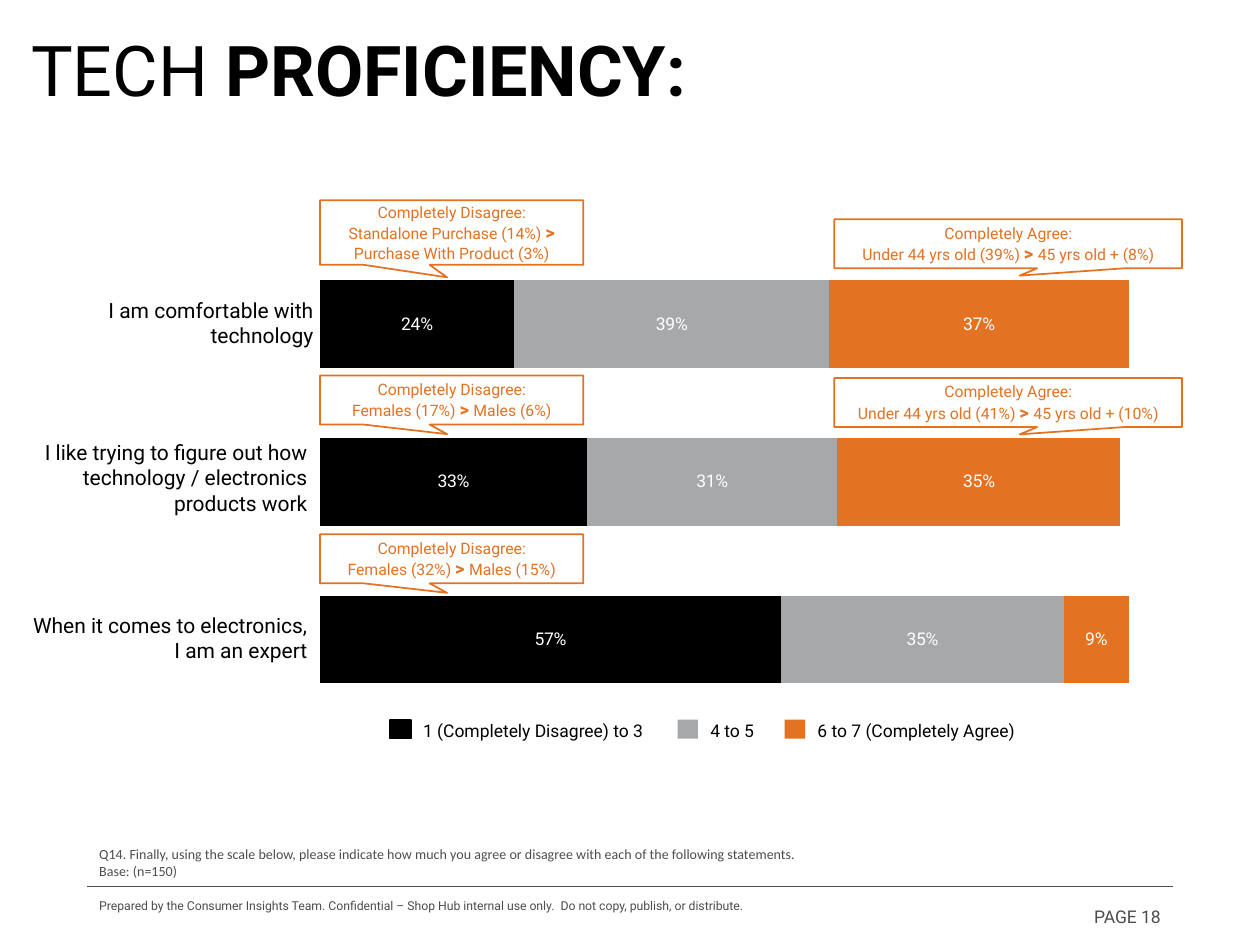
import pptx
import pptx.chart.data
import pptx.dml.color
import pptx.enum.chart
import pptx.enum.shapes
import pptx.enum.text
import pptx.oxml
import pptx.oxml.ns
import pptx.util
from lxml import etree

Cm = pptx.util.Cm
Pt = pptx.util.Pt
ALIGN = pptx.enum.text.PP_ALIGN
ANCHOR = pptx.enum.text.MSO_ANCHOR
SHAPE = pptx.enum.shapes.MSO_SHAPE
BLACK, GRAY, ORANGE, SLATE, WHITE = "000000", "A7A8AA", "E37222", "4D4D4F", "FFFFFF"


def color(fmt, value):
    """Give a fill, line fill or font colour a solid hex value."""
    if hasattr(fmt, "solid"):
        fmt.solid()
        fmt.fore_color.rgb = pptx.dml.color.RGBColor.from_string(value)
    else:
        fmt.color.rgb = pptx.dml.color.RGBColor.from_string(value)


def cm(*lengths):
    """Turn numbers into centimetre lengths."""
    return [Cm(n) for n in lengths]


def set_attrs(obj, values):
    """Set each named attribute of an object."""
    for name, value in values.items():
        setattr(obj, name, value)


def write(tf, paras, size, value, font="Roboto", align=ALIGN.LEFT, anchor=ANCHOR.TOP):
    """Fill a text frame; a paragraph is a list of (text, format) runs."""
    set_attrs(tf, {"word_wrap": True, "vertical_anchor": anchor})
    for i, runs in enumerate(paras):
        p = tf.add_paragraph() if i else tf.paragraphs[0]
        p.alignment = align
        for text, fmt in runs:
            r = p.add_run()
            r.text = text
            set_attrs(r.font, {"name": font, "size": Pt(size), "bold": False, **fmt})
            color(r.font, value)


def add_text(slide, box, paras, size, value=BLACK, **kw):
    """Add a text box."""
    tf = slide.shapes.add_textbox(*cm(*box)).text_frame
    write(tf, paras, size, value, **kw)
    return tf


def add_title(slide, box):
    """Add the two-weight heading."""
    runs = [("TECH", {}), (" PROFICIENCY:", {"bold": True})]
    tf = add_text(slide, box, [runs], 40, anchor=ANCHOR.MIDDLE)
    tf.paragraphs[0].line_spacing = 0.9


def add_footer(slide, box):
    """Add the question note, the rule, the credit line and the page number."""
    x, y, w, h = box
    rule = y + 0.94
    cxn = slide.shapes.add_connector(
        pptx.enum.shapes.MSO_CONNECTOR.STRAIGHT, *cm(x, rule, x + w, rule))
    color(cxn.line.fill, SLATE)
    cxn.line.width = Pt(0.5)
    etree.SubElement(cxn._element.spPr, pptx.oxml.ns.qn("a:effectLst"))
    note = ["Q14. Finally, using the scale below, please indicate how much you agree "
            "or disagree with each of the following statements.", "Base: (n=150)"]
    add_text(slide, (x, y, w, 0.94), [[(t, {})] for t in note], 8, SLATE, font="Calibri")
    credit = ("Prepared by the Consumer Insights Team. Confidential – Shop Hub internal "
              "use only.  Do not copy, publish, or distribute.")
    add_text(slide, (x, rule, 16.2, 0.81), [[(credit, {})]], 7, SLATE, anchor=ANCHOR.MIDDLE)
    add_text(slide, (x + 16.18, rule + 0.22, w - 16.18, 0.81), [[("PAGE 18", {})]], 10,
             SLATE, align=ALIGN.RIGHT, anchor=ANCHOR.MIDDLE)


def add_bars(slide, box):
    """Add the stacked bar chart of the three statements."""
    data = pptx.chart.data.CategoryChartData(number_format="0%")
    data.categories = ["1", "2", "3"]
    rows = [(0.24, 0.33, 0.57), (0.39, 0.31, 0.35), (0.37, 0.35, 0.09)]
    for i, row in enumerate(rows, 1):
        data.add_series(f"Series {i}", row)
    chart = slide.shapes.add_chart(
        pptx.enum.chart.XL_CHART_TYPE.BAR_STACKED, *cm(*box), data).chart
    set_attrs(chart, {"has_legend": False, "has_title": False})
    set_attrs(chart.font, {"name": "Calibri", "size": Pt(10)})
    color(chart.font, BLACK)
    set_attrs(chart.category_axis, {"visible": False, "reverse_order": True})
    set_attrs(chart.value_axis, {"visible": False, "has_major_gridlines": False,
                                 "minimum_scale": 0, "maximum_scale": 1})
    plot = chart.plots[0]
    set_attrs(plot, {"gap_width": 80, "overlap": 100, "vary_by_categories": False})
    for series, value in zip(plot.series, (BLACK, GRAY, ORANGE)):
        color(series.format.fill, value)
        labels = series.data_labels
        set_attrs(labels, {"show_value": True, "number_format": "0%",
                           "number_format_is_linked": False})
        set_attrs(labels.font, {"name": "Roboto", "size": Pt(10)})
        color(labels.font, WHITE)
    place_plot(chart, {"x": 0.123, "y": 0.051, "w": 0.849, "h": 0.925})


def place_plot(chart, fractions):
    """Fix the inner plot area as fractions of the chart."""
    area = chart._chartSpace.chart.plotArea
    for old in area.findall(pptx.oxml.ns.qn("c:layout")):
        area.remove(old)
    parts = [("layoutTarget", "inner"), ("xMode", "edge"), ("yMode", "edge"),
             *fractions.items()]
    body = "".join(f'<c:{tag} val="{val}"/>' for tag, val in parts)
    area.insert(0, pptx.oxml.parse_xml(
        f'<c:layout {pptx.oxml.ns.nsdecls("c")}><c:manualLayout>{body}'
        '</c:manualLayout></c:layout>'))


def add_statements(slide, box):
    """Add the right-aligned statement beside each bar."""
    x, y, w, h = box
    rows = [(0, 0.12, 1.27, "I am comfortable with technology"),
            (2.87, 0, 1.8, "I like trying to figure out how technology / electronics products work"),
            (6.35, 0, 1.27, "When it comes to electronics, I am an expert")]
    for top, extra, height, text in rows:
        add_text(slide, (x, y + top, w + extra, height), [[(text, {})]], 12,
                 align=ALIGN.RIGHT)


def add_legend(slide, box):
    """Add the colour key under the bars."""
    x, y, w, h = box
    keys = [(0, BLACK, 6.12, "1 (Completely Disagree) to 3"), (5.79, GRAY, 2.03, "4 to 5"),
            (7.95, ORANGE, 5.69, "6 to 7 (Completely Agree)")]
    for left, value, width, text in keys:
        sp = slide.shapes.add_shape(SHAPE.RECTANGLE, *cm(x + left, y + 0.13, 0.41, 0.38))
        sp.shadow.inherit = False
        color(sp.fill, value)
        if value == BLACK:
            color(sp.line.fill, value)
            sp.line.width = Pt(1)
        else:
            sp.line.fill.background()
        add_text(slide, (x + left + 0.41, y, width, h), [[(text, {})]], 10)


def add_callout(slide, box, tip, heading, more, less):
    """Add an outlined callout that compares two groups."""
    sp = slide.shapes.add_shape(SHAPE.RECTANGULAR_CALLOUT, *cm(*box))
    sp.shadow.inherit = False
    sp.fill.background()
    color(sp.line.fill, ORANGE)
    sp.line.width = Pt(1)
    for i, value in enumerate(tip):
        sp.adjustments[i] = value
    compare = [(more + " ", {}), ("> ", {"size": Pt(10.5), "bold": True}), (less, {})]
    write(sp.text_frame, [[(heading, {})], compare], 9, ORANGE,
          align=ALIGN.CENTER, anchor=ANCHOR.MIDDLE)


def add_callouts(slide, box):
    """Add the disagree callouts at the left and the agree callouts at the right."""
    x, y, w, h = box
    sides = [
        (x, 5.31, (-0.017, 0.694), "Completely Disagree:", [
            (0, 1.3, "Standalone Purchase (14%)", "Purchase With Product (3%)"),
            (3.53, 0.99, "Females (17%)", "Males (6%)"),
            (6.73, 0.99, "Females (32%)", "Males (15%)")]),
        (x + w - 7.01, 7.01, (0.033, 0.649), "Completely Agree:", [
            (0.38, 0.99, "Under 44 yrs old (39%)", "45 yrs old + (8%)"),
            (3.58, 0.99, "Under 44 yrs old (41%)", "45 yrs old + (10%)")])]
    for left, width, tip, heading, rows in sides:
        for top, height, more, less in rows:
            add_callout(slide, (left, y + top, width, height), tip, heading, more, less)


def main():
    """Build and save the slide."""
    prs = pptx.Presentation()
    set_attrs(prs, {"slide_width": Cm(25.4), "slide_height": Cm(19.05)})
    slide = prs.slides.add_slide(prs.slide_layouts[6])
    add_title(slide, (0.38, 0.43, 21.9, 2.13))
    add_footer(slide, (1.75, 16.92, 21.9, 1.75))
    add_bars(slide, (4.09, 4.42, 19.2, 10.31))
    add_statements(slide, (0.2, 5.87, 6.25, 7.62))
    add_legend(slide, (7.87, 14.38, 14.05, 0.69))
    add_callouts(slide, (6.45, 4.04, 17.38, 7.72))
    prs.save("out.pptx")


main()
